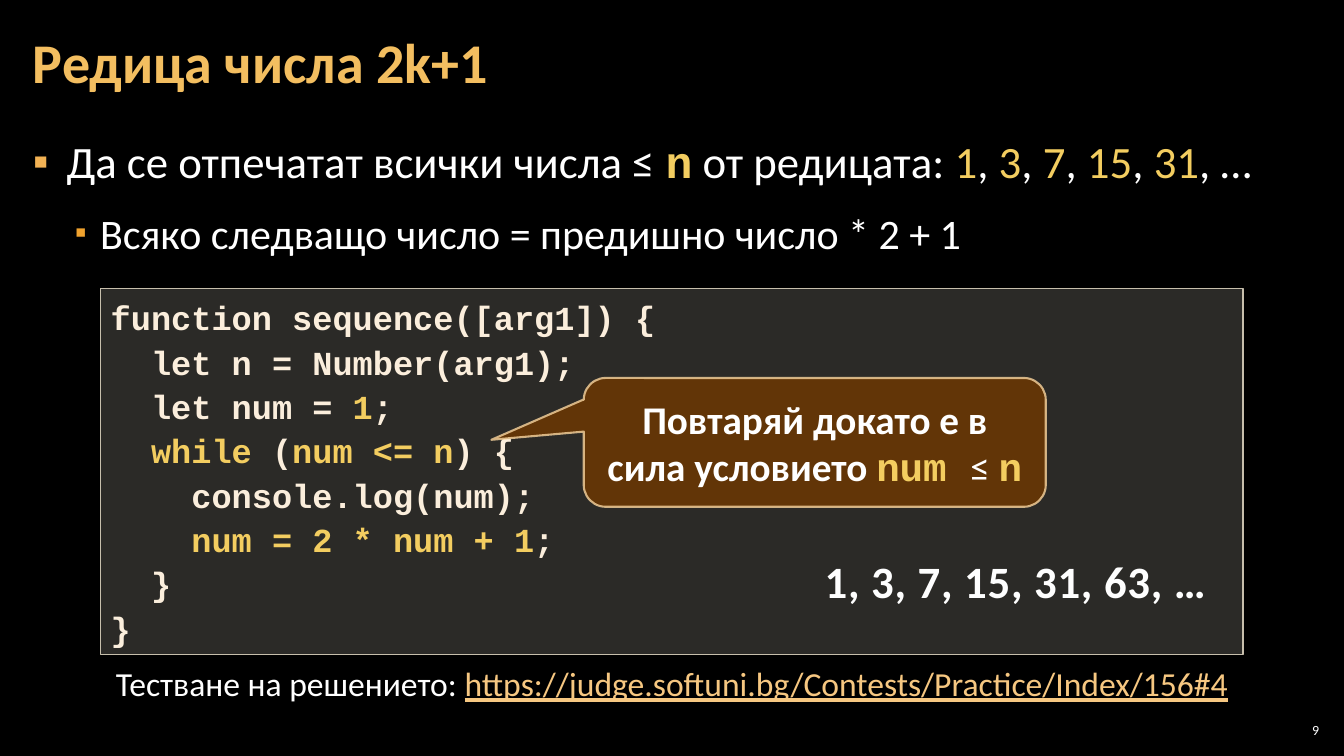
from lxml import etree
from pptx import Presentation
from pptx.dml.color import RGBColor
from pptx.enum.shapes import MSO_SHAPE
from pptx.enum.text import MSO_ANCHOR, PP_ALIGN
from pptx.oxml.ns import qn
from pptx.util import Pt

RECT = MSO_SHAPE.RECTANGLE
CALLOUT = MSO_SHAPE.ROUNDED_RECTANGULAR_CALLOUT
TOP, MIDDLE = MSO_ANCHOR.TOP, MSO_ANCHOR.MIDDLE
LEFT, CENTER, RIGHT = PP_ALIGN.LEFT, PP_ALIGN.CENTER, PP_ALIGN.RIGHT

COLORS = {
    "black": "000000", "white": "FFFFFF", "title": "F3BE60", "gold": "F3CD60",
    "cream": "FBEEDC", "link": "F6C781", "bullet1": "F2B254", "bullet2": "F0A22E",
    "code_fill": "D9D5C7", "code_line": "C7BFAC", "note_fill": "663606",
    "note_line": "F8D49E", "sample": "FEFEFE", "glow": "F0A22E",
}
SANS, MONO = "Calibri", "Courier New"
# Run styles: font, colour, bold, underline
STYLES = {
    "text": (SANS, "white", False, False),
    "strong": (SANS, "white", True, False),
    "number": (SANS, "gold", False, False),
    "title": (SANS, "title", True, False),
    "code": (MONO, "cream", True, False),
    "key": (MONO, "gold", True, False),
    "link": (SANS, "link", False, True),
    "sample": (SANS, "sample", True, False),
}
INSETS = (7.2, 3.6)


def rgb(name):
    return RGBColor.from_string(COLORS[name])


def add_xml(parent, tag, **attributes):
    return etree.SubElement(parent, qn(tag), attributes)


def set_alpha(shape_fill, percent):
    color = shape_fill.find(".//" + qn("a:srgbClr"))
    add_xml(color, "a:alpha", val=str(percent * 1000))


class SlideBuilder:
    def __init__(self, deck):
        self.slide = deck.slides.add_slide(deck.slide_layouts[1])
        background = self.slide.background.fill
        background.solid()
        background.fore_color.rgb = rgb("black")

    def frame(self, shape, insets=INSETS, anchor=TOP, wrap=True):
        frame = shape.text_frame
        frame.word_wrap = wrap
        frame.vertical_anchor = anchor
        frame.margin_left = frame.margin_right = Pt(insets[0])
        frame.margin_top = frame.margin_bottom = Pt(insets[1])
        return frame

    def placeholder(self, index, box, anchor=TOP):
        shape = self.slide.placeholders[index]
        shape.left, shape.top, shape.width, shape.height = map(Pt, box)
        return self.frame(shape, (8.5, 2.8), anchor)

    def text_box(self, box, **options):
        return self.frame(self.slide.shapes.add_textbox(*map(Pt, box)), **options)

    def panel(self, kind, box, fill, fill_alpha, line, line_width, line_alpha=100, anchor=TOP):
        shape = self.slide.shapes.add_shape(kind, *map(Pt, box))
        shape.shadow.inherit = False
        shape.fill.solid()
        shape.fill.fore_color.rgb = rgb(fill)
        shape.line.color.rgb = rgb(line)
        shape.line.width = Pt(line_width)
        properties = shape.fill._xPr
        set_alpha(properties.find(qn("a:solidFill")), fill_alpha)
        set_alpha(properties.find(qn("a:ln")), line_alpha)
        return shape, self.frame(shape, anchor=anchor)

    def paragraph(self, frame, runs, size, align=LEFT, spacing=None, first=False):
        paragraph = frame.paragraphs[0] if first else frame.add_paragraph()
        paragraph.alignment = align
        if spacing:
            paragraph.line_spacing = spacing
        for text, style in runs:
            run = paragraph.add_run()
            run.text = text
            font = run.font
            font.name, color, font.bold, underline = STYLES[style]
            font.size = Pt(size)
            font.color.rgb = rgb(color)
            if underline:
                font.underline = True
        return paragraph

    def bullet(self, frame, runs, size, level, indent, hanging, color, percent, first=False):
        paragraph = self.paragraph(frame, runs, size, first=first)
        paragraph.level = level
        properties = paragraph._p.get_or_add_pPr()
        properties.set("marL", str(Pt(indent)))
        properties.set("indent", str(Pt(-hanging)))
        add_xml(add_xml(properties, "a:buClr"), "a:srgbClr", val=COLORS[color])
        add_xml(properties, "a:buSzPct", val=str(percent * 1000))
        add_xml(properties, "a:buChar", char="▪")
        paragraph.line_spacing = 1.05
        paragraph.space_before = Pt(0 if first else 6)
        paragraph.space_after = Pt(6)

    def outline_text(self, run, color):
        """Give a run a thin outline, a small shadow and wider spacing."""
        properties = run.font._element
        properties.set("spc", "50")
        outline = etree.Element(qn("a:ln"), w=str(Pt(0.75)))
        add_xml(add_xml(outline, "a:solidFill"), "a:srgbClr", val=COLORS[color])
        properties.insert(0, outline)
        effects = etree.Element(qn("a:effectLst"))
        shadow = add_xml(effects, "a:outerShdw", dist=str(Pt(1)), dir="2700000")
        add_xml(shadow, "a:srgbClr", val=COLORS[color])
        properties.find(qn("a:solidFill")).addnext(effects)


def main():
    deck = Presentation()
    deck.slide_width, deck.slide_height = Pt(960), Pt(540)
    builder = SlideBuilder(deck)

    # Slide number
    number = builder.text_box((911, 514, 34, 15), insets=(2.8, 2.8), anchor=MIDDLE)
    builder.paragraph(number, [("9", "text")], 10, RIGHT, first=True)

    # Title
    title = builder.placeholder(0, (15, 3, 754, 87), MIDDLE)
    builder.paragraph(title, [("Редица числа 2k+1", "title")], 40, spacing=0.9, first=True)

    # Task
    task = builder.placeholder(1, (15, 91, 930, 438))
    sequence = [("Да се отпечатат всички числа ≤ ", "text"), ("n", "key"),
                (" от редицата: ", "text")]
    for term in ("1", "3", "7", "15", "31"):
        sequence += [(term, "number"), (", ", "text")]
    sequence[-1] = (", …", "text")
    builder.bullet(task, sequence, 32, 0, 24, 24, "bullet1", 100, first=True)
    rule = [("Всяко следващо число = предишно число * 2 + 1", "text")]
    builder.bullet(task, rule, 30, 1, 48, 18, "bullet2", 80)

    # Code
    _, code = builder.panel(RECT, (72, 206, 816, 261.4), "code_fill", 20, "code_line", 1)
    code_lines = [
        [("function sequence([arg1]) {", "code")],
        [("  let n = Number(arg1);", "code")],
        [("  let num = ", "code"), ("1", "key"), (";", "code")],
        [("  while ", "key"), ("(", "code"), ("num <= n", "key"), (") {", "code")],
        [("    console.log(num);", "code")],
        [("    num = 2 * num + 1", "key"), (";", "code")],
        [("  }", "code")],
        [("}", "code")],
    ]
    for row, runs in enumerate(code_lines):
        builder.paragraph(code, runs, 24, spacing=1.1, first=row == 0)

    # Link to the tests
    tests = builder.text_box((60, 470, 840, 36))
    builder.paragraph(tests, [
        ("Тестване на решението: ", "text"),
        ("https://judge.softuni.bg/Contests/Practice/Index/156#4", "link"),
    ], 24, CENTER, first=True)

    # Loop condition callout
    callout, condition = builder.panel(CALLOUT, (417, 270, 330, 92), "note_fill", 95,
                                       "note_line", 1.5, 80, MIDDLE)
    for index, value in enumerate((-0.7, -0.02, 0.17)):
        callout.adjustments[index] = value
    builder.paragraph(condition, [
        ("Повтаряй докато е в сила условието ", "strong"), ("num ", "key"),
        ("≤ ", "text"), ("n", "key"),
    ], 28, CENTER, first=True)

    # Sample output
    output = builder.text_box((582, 391.7, 290, 46), wrap=False)
    sample = builder.paragraph(output, [("1, 3, 7, 15, 31, 63, …", "sample")], 32, first=True)
    builder.outline_text(sample.runs[0], "glow")

    deck.save("out.pptx")


if __name__ == "__main__":
    main()
